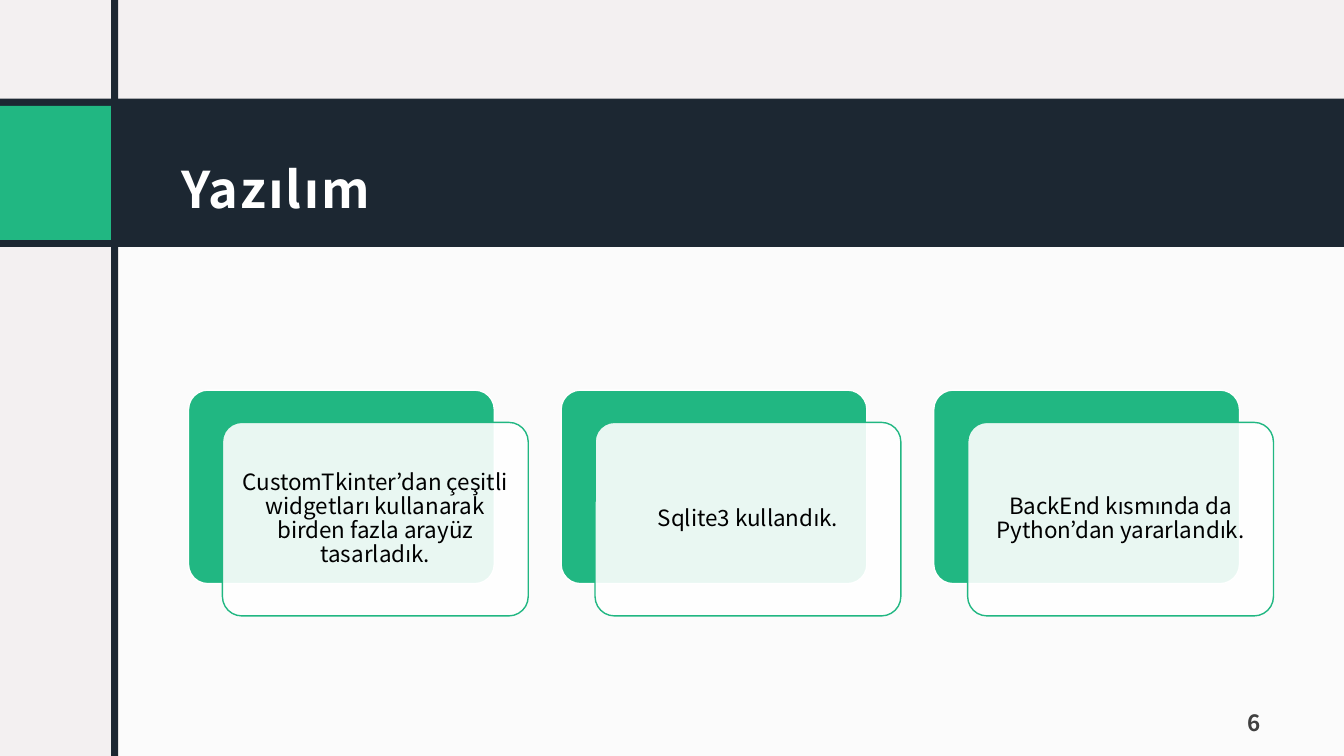
from dataclasses import dataclass

from lxml import etree
from pptx import Presentation
from pptx.dml.color import RGBColor
from pptx.enum.shapes import MSO_SHAPE
from pptx.enum.text import MSO_ANCHOR, PP_ALIGN
from pptx.oxml.ns import qn
from pptx.util import Inches, Pt

RECT, ROUNDED = MSO_SHAPE.RECTANGLE, MSO_SHAPE.ROUNDED_RECTANGLE
LEFT, CENTER, RIGHT = PP_ALIGN.LEFT, PP_ALIGN.CENTER, PP_ALIGN.RIGHT
MIDDLE, BOTTOM = MSO_ANCHOR.MIDDLE, MSO_ANCHOR.BOTTOM

FONT = "Noto Sans CJK JP"
NAVY, GREEN, WHITE = "1C2732", "21B782", "FFFFFF"
PAPER, GREY, BLACK = "F3F0F1", "404040", "000000"

# Slide grid: 40 columns by 22.5 rows
WIDTH, HEIGHT = Inches(13.33), Inches(7.5)
COLS, ROWS = 40, 22.5
COL, ROW = WIDTH / COLS, HEIGHT / ROWS


@dataclass(frozen=True)
class Box:
    """A place on the grid, in columns and rows."""
    col: float
    row: float
    cols: float
    rows: float

    def shifted(self, cols: float, rows: float = 0) -> "Box":
        return Box(self.col + cols, self.row + rows, self.cols, self.rows)

    def emu(self) -> tuple[int, int, int, int]:
        return (round(self.col * COL), round(self.row * ROW),
                round(self.cols * COL), round(self.rows * ROW))


@dataclass(frozen=True)
class Panel:
    box: Box
    fill: str
    opacity: int = 100


@dataclass(frozen=True)
class Style:
    size: float
    color: str
    align: PP_ALIGN
    anchor: MSO_ANCHOR
    line_spacing: float
    bold: bool = False
    tracking: float = 0
    inset: float = 0.12
    inset_bottom: float = 0.1


PANELS = [
    Panel(Box(3.42, 6.99, 36.58, 15.51), WHITE, 75),  # content area
    Panel(Box(0, 2.94, COLS, 4.41), NAVY),            # title band
    Panel(Box(0, 3.15, 3.3, 3.99), GREEN),            # accent block
    Panel(Box(3.31, 0, 0.21, ROWS), NAVY),            # vertical bar
]
TITLE = Style(36, WHITE, LEFT, MIDDLE, 1.5, bold=True, tracking=1.5)
NUMBER = Style(16, GREY, RIGHT, BOTTOM, 1, bold=True, tracking=1.5)
CARD_TEXT = Style(16, BLACK, CENTER, MIDDLE, 0.9, inset=0.07, inset_bottom=0.07)

CARD = Box(5.61, 11.61, 9.1, 5.76)
CARD_STEP = 11.09
FRONT_SHIFT = (1.01, 0.96)
CARDS = [
    "CustomTkinter’dan çeşitli widgetları kullanarak birden fazla arayüz tasarladık.",
    "Sqlite3 kullandık.",
    "BackEnd kısmında da Python’dan yararlandık.",
]


def rgb(color: str) -> RGBColor:
    return RGBColor.from_string(color)


def add_panel(slide, panel: Panel, kind=RECT, line: str = ""):
    sp = slide.shapes.add_shape(kind, *panel.box.emu())
    sp.shadow.inherit = False
    sp.fill.solid()
    sp.fill.fore_color.rgb = rgb(panel.fill)
    if panel.opacity < 100:
        clr = sp._element.spPr.find(qn("a:solidFill"))[0]
        etree.SubElement(clr, qn("a:alpha"), val=str(panel.opacity * 1000))
    if line:
        sp.line.color.rgb = rgb(line)
        sp.line.width = Pt(1)
    else:
        sp.line.fill.background()
    if kind == ROUNDED:
        sp.adjustments[0] = 0.1
    return sp


def write(sp, text: str, style: Style) -> None:
    tf = sp.text_frame
    tf.word_wrap = True
    tf.vertical_anchor = style.anchor
    tf.margin_left = tf.margin_right = tf.margin_top = Inches(style.inset)
    tf.margin_bottom = Inches(style.inset_bottom)
    p = tf.paragraphs[0]
    p.text = text
    p.alignment = style.align
    p.line_spacing = style.line_spacing
    p.font.name = FONT
    p.font.size = Pt(style.size)
    p.font.bold = style.bold
    p.font.color.rgb = rgb(style.color)
    if style.tracking:
        props = p._p.pPr.find(qn("a:defRPr"))
        props.set("spc", str(round(style.tracking * 100)))


def add_text(slide, box: Box, text: str, style: Style) -> None:
    write(slide.shapes.add_textbox(*box.emu()), text, style)


def add_card(slide, box: Box, text: str) -> None:
    add_panel(slide, Panel(box, GREEN), ROUNDED, WHITE)
    front = Panel(box.shifted(*FRONT_SHIFT), WHITE, 90)
    write(add_panel(slide, front, ROUNDED, GREEN), text, CARD_TEXT)


def main() -> None:
    prs = Presentation()
    prs.slide_width, prs.slide_height = WIDTH, HEIGHT
    slide = prs.slides.add_slide(prs.slide_layouts[6])
    slide.background.fill.solid()
    slide.background.fill.fore_color.rgb = rgb(PAPER)

    # Backdrop
    for panel in PANELS:
        add_panel(slide, panel)

    # Title and slide number
    add_text(slide, Box(5.04, 3.42, 32.85, 3.39), "Yazılım", TITLE)
    add_text(slide, Box(34.68, 20.7, 3.21, 1.5), "6", NUMBER)

    # Cards
    for i, text in enumerate(CARDS):
        add_card(slide, CARD.shifted(i * CARD_STEP), text)

    prs.save("out.pptx")


if __name__ == "__main__":
    main()
